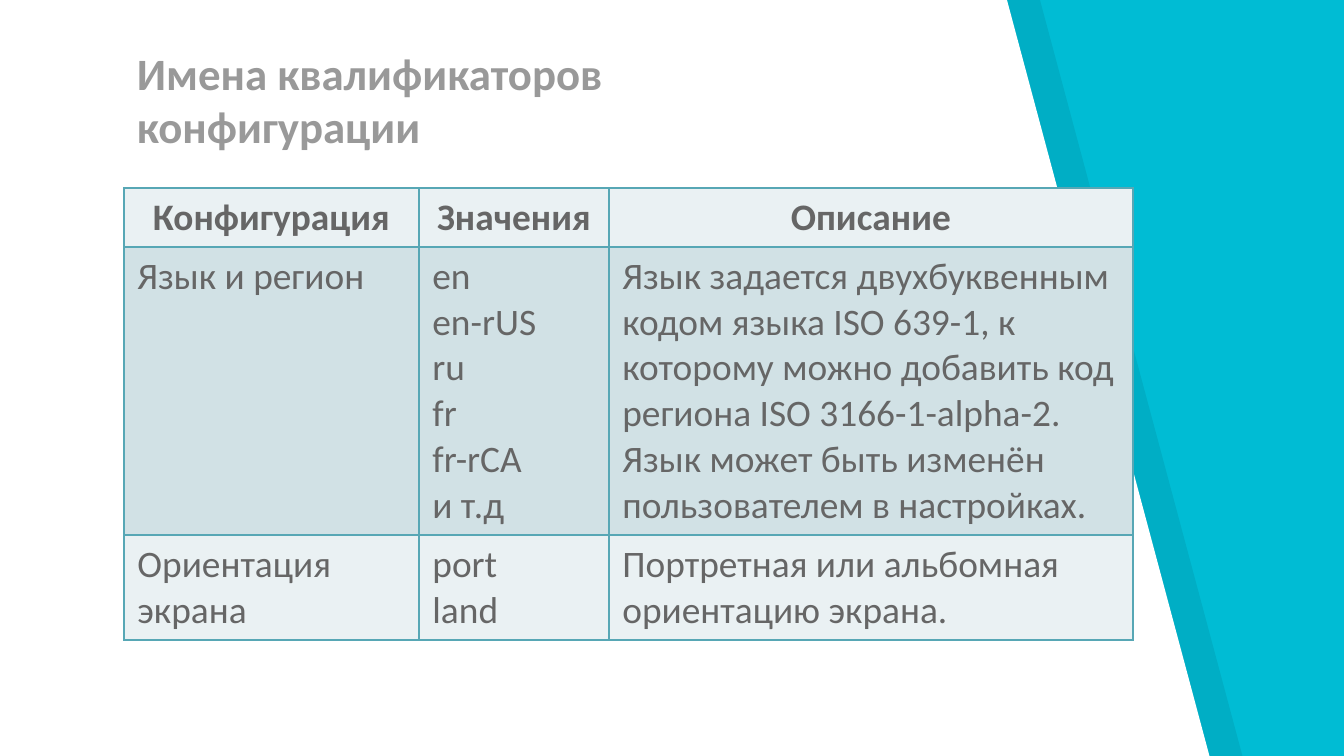
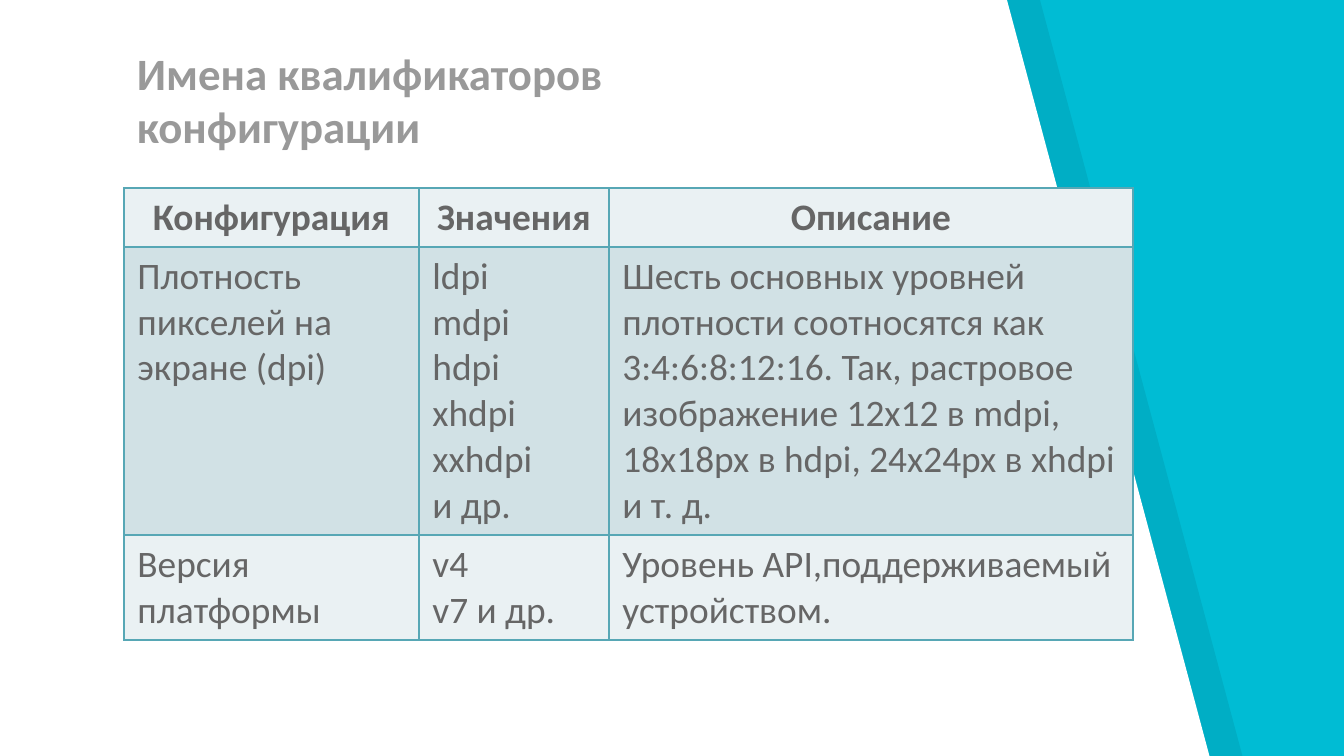
from dataclasses import dataclass

from lxml.etree import SubElement
from pptx import Presentation
from pptx.dml.color import RGBColor
from pptx.enum.text import MSO_ANCHOR, MSO_AUTO_SIZE, PP_ALIGN
from pptx.oxml.ns import qn
from pptx.slide import Slide
from pptx.table import _Cell
from pptx.text.text import TextFrame
from pptx.util import Emu, Pt

CYAN = RGBColor(0x00, 0xBC, 0xD4)
BLACK = RGBColor(0x00, 0x00, 0x00)
WHITE = RGBColor(0xFF, 0xFF, 0xFF)
TITLE_GRAY = RGBColor(0x99, 0x99, 0x99)
TEXT_GRAY = RGBColor(0x66, 0x66, 0x66)
PALE_ROW = RGBColor(0xEA, 0xF1, 0xF3)
DARK_ROW = RGBColor(0xD1, 0xE1, 0xE5)
BORDER = RGBColor(0x57, 0xA7, 0xB5)

FONT = "Calibri"
PIXELS_PER_INCH = 134.4
TITLE_ONLY_LAYOUT = 5
TITLE = "Имена квалификаторов конфигурации"
HEADER = ("Конфигурация", "Значения", "Описание")
COLUMN_WIDTHS = (295, 190, 524)
ROW_HEIGHTS = (59, 288, 105)


@dataclass(frozen=True)
class Band:
    left: int
    color: RGBColor
    opacity: int


@dataclass(frozen=True)
class Qualifier:
    configuration: str
    values: str
    description: str


BANDS = (Band(33, BLACK, 7), Band(0, WHITE, 100))

PAGES = (
    (
        Qualifier(
            "Язык и регион",
            "en\nen-rUS\nru\nfr\nfr-rCA \nи т.д",
            "Язык задается двухбуквенным кодом языка ISO 639-1, к которому "
            "можно добавить код региона ISO 3166-1-alpha-2.\n"
            "Язык может быть изменён пользователем в настройках.",
        ),
        Qualifier(
            "Ориентация экрана",
            "port\nland",
            "Портретная или альбомная ориентацию экрана.",
        ),
    ),
    (
        Qualifier(
            "Плотность пикселей на экране (dpi)",
            "ldpi\nmdpi\nhdpi\nxhdpi\nxxhdpi\nи др.",
            "Шесть основных уровней плотности соотносятся как "
            "3:4:6:8:12:16. Так, растровое изображение 12x12 в mdpi, "
            "18x18px в hdpi, 24x24px в xhdpi и т. д.",
        ),
        Qualifier(
            "Версия платформы",
            "v4\nv7 и др.",
            "Уровень API,поддерживаемый устройством.",
        ),
    ),
)


def px(pixels: float) -> Emu:
    return Emu(round(pixels * 914400 / PIXELS_PER_INCH))


def format_text(
    frame: TextFrame, size: int, color: RGBColor, bold: bool, align: PP_ALIGN
) -> None:
    for paragraph in frame.paragraphs:
        paragraph.alignment = align
        for span in paragraph.runs:
            span.font.name = FONT
            span.font.size = Pt(size)
            span.font.bold = bold
            span.font.color.rgb = color


def draw_band(page: Slide, band: Band) -> None:
    builder = page.shapes.build_freeform(px(band.left), px(-1))
    corners = ((0, 758), (1210, 758), (1007, 0))
    builder.add_line_segments([(px(band.left + x), px(y)) for x, y in corners])
    shape = builder.convert_to_shape()
    shape.shadow.inherit = False
    shape.line.fill.background()
    shape.fill.solid()
    shape.fill.fore_color.rgb = band.color
    if band.opacity < 100:
        color = shape.fill._xPr.find(f".//{qn('a:srgbClr')}")
        SubElement(color, qn("a:alpha"), val=str(band.opacity * 1000))


def draw_title(page: Slide) -> None:
    title = page.shapes.title
    page.shapes._spTree.append(title._element)
    title.left, title.top, title.width, title.height = px(124), px(52), px(718), px(114)
    frame = title.text_frame
    frame.text = TITLE
    frame.word_wrap = True
    frame.auto_size = MSO_AUTO_SIZE.NONE
    frame.vertical_anchor = MSO_ANCHOR.BOTTOM
    frame.margin_left = frame.margin_right = px(13)
    frame.margin_top = frame.margin_bottom = px(13)
    format_text(frame, 24, TITLE_GRAY, True, PP_ALIGN.LEFT)


def draw_borders(cell: _Cell) -> None:
    properties = cell._tc.get_or_add_tcPr()
    for position, side in enumerate(("lnL", "lnR", "lnT", "lnB")):
        line = SubElement(properties, qn(f"a:{side}"), w=str(Pt(1)))
        fill = SubElement(line, qn("a:solidFill"))
        SubElement(fill, qn("a:srgbClr"), val=str(BORDER))
        properties.insert(position, line)


def draw_table(page: Slide, qualifiers: tuple[Qualifier, ...]) -> None:
    rows = [HEADER] + [(q.configuration, q.values, q.description) for q in qualifiers]
    table = page.shapes.add_table(
        len(rows), len(HEADER), px(124), px(188), px(sum(COLUMN_WIDTHS)), px(sum(ROW_HEIGHTS))
    ).table
    for column, width in zip(table.columns, COLUMN_WIDTHS):
        column.width = px(width)
    for row, height in zip(table.rows, ROW_HEIGHTS):
        row.height = px(height)
    for row_index, texts in enumerate(rows):
        is_header = row_index == 0
        for column_index, text in enumerate(texts):
            cell = table.cell(row_index, column_index)
            cell.text_frame.text = text
            cell.fill.solid()
            cell.fill.fore_color.rgb = DARK_ROW if row_index % 2 else PALE_ROW
            draw_borders(cell)
            align = PP_ALIGN.CENTER if is_header else PP_ALIGN.LEFT
            format_text(cell.text_frame, 20, TEXT_GRAY, is_header, align)


def main() -> None:
    deck = Presentation()
    deck.slide_width, deck.slide_height = px(1344), px(756)
    for qualifiers in PAGES:
        page = deck.slides.add_slide(deck.slide_layouts[TITLE_ONLY_LAYOUT])
        page.background.fill.solid()
        page.background.fill.fore_color.rgb = CYAN
        for band in BANDS:
            draw_band(page, band)
        draw_title(page)
        draw_table(page, qualifiers)
    deck.save("out.pptx")


main()
